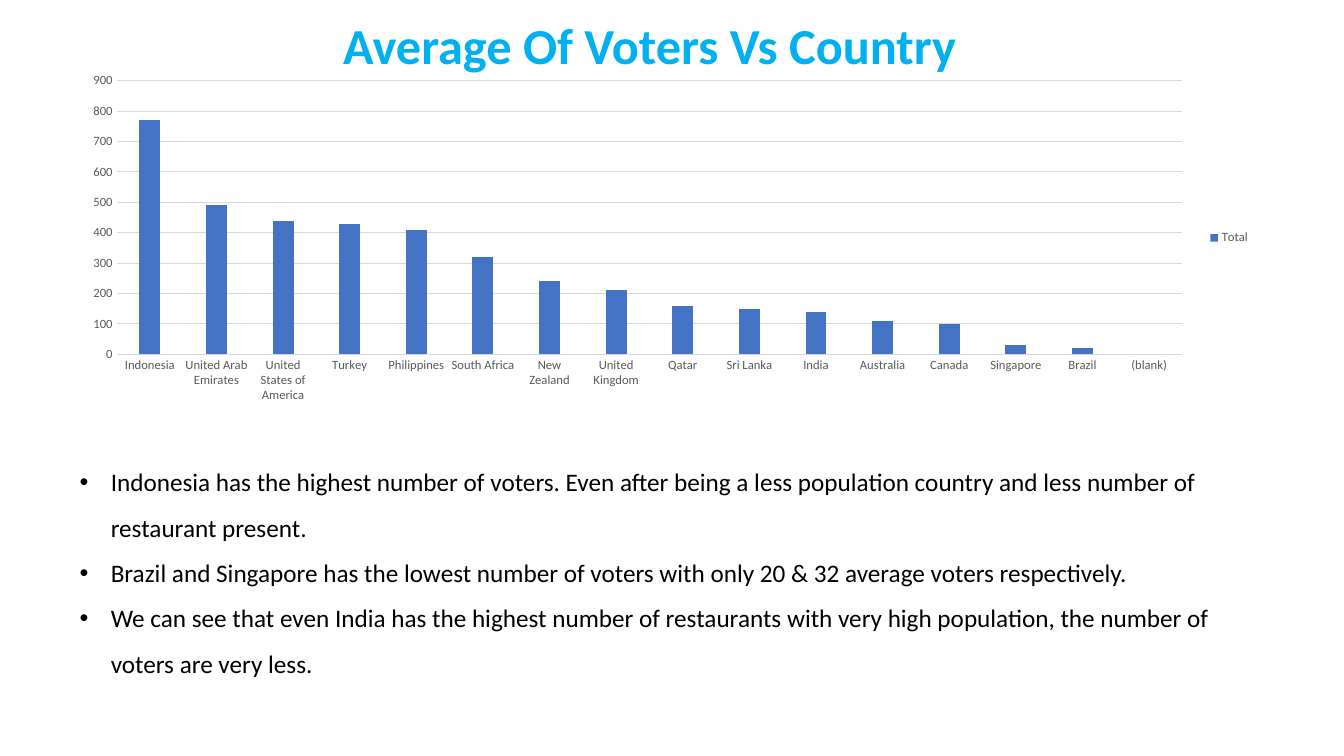
from lxml.etree import SubElement
from pptx import Presentation
from pptx.chart.data import CategoryChartData
from pptx.dml.color import RGBColor
from pptx.enum.chart import XL_CHART_TYPE as ChartType, XL_LEGEND_POSITION as LegendPos, XL_TICK_MARK as Tick
from pptx.enum.text import MSO_AUTO_SIZE as AutoSize, PP_ALIGN as Align
from pptx.oxml.ns import qn
from pptx.util import Inches, Pt

FONT = "Calibri"
GREY, RULE, BLUE, SKY, BLACK = "595959", "D9D9D9", "4472C4", "00B0F0", "000000"
LEFT, WIDTH = 0.69, 11.81
INDENT = 0.31

VOTERS = {
    "Indonesia": 770, "United Arab Emirates": 490, "United States of America": 440,
    "Turkey": 430, "Philippines": 410, "South Africa": 320, "New Zealand": 240,
    "United Kingdom": 210, "Qatar": 160, "Sri Lanka": 150, "India": 140,
    "Australia": 110, "Canada": 100, "Singapore": 32, "Brazil": 20, "(blank)": None,
}
FINDINGS = [
    "Indonesia has the highest number of voters. Even after being a less population country "
    "and less number of restaurant present.",
    "Brazil and Singapore has the lowest number of voters with only 20 & 32 average voters respectively.",
    "We can see that even India has the highest number of restaurants with very high population, "
    "the number of voters are very less.",
]


def rgb(color):
    return RGBColor.from_string(color)


def set_font(font, size, color, bold=False):
    font.name, font.size, font.bold = FONT, Pt(size), bold
    font.color.rgb = rgb(color)


def set_line(line, color):
    line.color.rgb = rgb(color)
    line.width = Pt(0.75)


def add_bullet(p):
    pPr = p._p.get_or_add_pPr()
    pPr.set("marL", str(Inches(INDENT)))
    pPr.set("indent", str(-Inches(INDENT)))
    SubElement(pPr, qn("a:buFont"), typeface="Arial")
    SubElement(pPr, qn("a:buChar"), char="•")


def add_text(slide, box, lines, size, color, bold=False, align=Align.LEFT, spacing=1.0, bullets=False):
    tf = slide.shapes.add_textbox(*map(Inches, box)).text_frame
    tf.word_wrap = True
    tf.auto_size = AutoSize.SHAPE_TO_FIT_TEXT
    for i, line in enumerate(lines):
        p = tf.add_paragraph() if i else tf.paragraphs[0]
        p.alignment, p.line_spacing = align, spacing
        if bullets:
            add_bullet(p)
        r = p.add_run()
        r.text = line
        set_font(r.font, size, color, bold)


def add_column_chart(slide, box, name, values):
    data = CategoryChartData()
    data.categories = list(values)
    data.add_series(name, list(values.values()))
    chart = slide.shapes.add_chart(ChartType.COLUMN_CLUSTERED, *map(Inches, box), data).chart
    set_font(chart.font, 10, BLACK)
    chart.has_title = False

    chart.has_legend = True
    chart.legend.position = LegendPos.RIGHT
    chart.legend.include_in_layout = False
    set_font(chart.legend.font, 9, GREY)

    for axis in (chart.category_axis, chart.value_axis):
        axis.major_tick_mark = axis.minor_tick_mark = Tick.NONE
        set_font(axis.tick_labels.font, 9, GREY)
    set_line(chart.category_axis.format.line, RULE)
    chart.value_axis.format.line.fill.background()
    chart.value_axis.minimum_scale, chart.value_axis.maximum_scale = 0, 900
    chart.value_axis.major_unit = 100
    set_line(chart.value_axis.major_gridlines.format.line, RULE)

    plot = chart.plots[0]
    plot.gap_width, plot.overlap = 219, -27
    plot.vary_by_categories = False
    fill = plot.series[0].format.fill
    fill.solid()
    fill.fore_color.rgb = rgb(BLUE)


def main():
    prs = Presentation()
    prs.slide_width, prs.slide_height = Inches(13.33), Inches(7.5)
    slide = prs.slides.add_slide(prs.slide_layouts[6])
    add_column_chart(slide, (LEFT, 0.66, WIDTH, 3.4), "Total", VOTERS)
    add_text(slide, (LEFT, 4.43, WIDTH, 2.78), FINDINGS, 18, BLACK, spacing=1.5, bullets=True)
    add_text(slide, (3.11, 0.09, 6.67, 0.71), ["Average Of Voters Vs Country"], 36, SKY,
             bold=True, align=Align.CENTER)
    prs.save("out.pptx")


if __name__ == "__main__":
    main()
